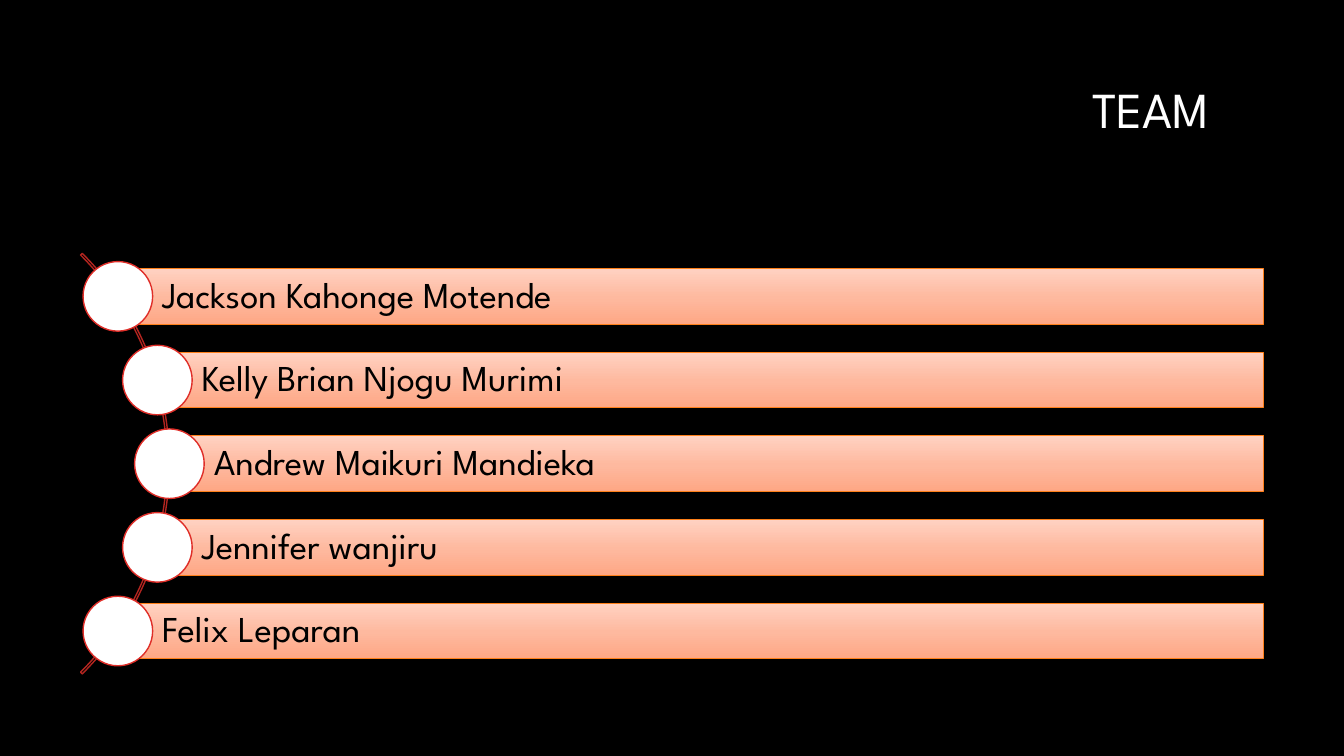
from copy import deepcopy
from math import sqrt

from pptx import Presentation
from pptx.dml.color import RGBColor as RGB
from pptx.enum.shapes import MSO_SHAPE as SHAPE
from pptx.enum.text import MSO_ANCHOR as ANCHOR, PP_ALIGN as ALIGN
from pptx.oxml.ns import qn
from pptx.util import Inches, Pt

THEME = {
    "font": "League Spartan",
    "title_size": 36,
    "name_size": 26,
    "back": "000000",
    "title": "FFFFFF",
    "name": "000000",
    "dot": "FFFFFF",
    "dot_line": "DF2E28",
    "arc_line": "B32520",
    "bar_line": "FE801A",
    "bar_stops": [(0, "FFD2C2"), (0.52, "FEB99F"), (1, "FEA785")],
}
NAMES = [
    "Jackson Kahonge Motende",
    "Kelly Brian Njogu Murimi",
    "Andrew Maikuri Mandieka",
    "Jennifer wanjiru",
    "Felix Leparan",
]
ARC_X, ARC_Y, ARC_R = -1.27, 4.6, 2.95
PITCH, BAR_H, DOT, RIGHT = 0.83, 0.55, 0.69, 12.53


def put_text(sp, text, size, color, align=ALIGN.LEFT, left=0.1, pad=0.07):
    tf = sp.text_frame
    tf.word_wrap = True
    tf.vertical_anchor = ANCHOR.MIDDLE
    tf.margin_left = Inches(left)
    tf.margin_right = tf.margin_top = tf.margin_bottom = Inches(pad)
    p = tf.paragraphs[0]
    p.alignment = align
    p.line_spacing = 0.9
    r = p.add_run()
    r.text = text
    r.font.name = THEME["font"]
    r.font.size = Pt(size)
    r.font.color.rgb = RGB.from_string(color)


def add_outlined(kind, x, y, w, h, line, width):
    sp = s.shapes.add_shape(kind, Inches(x), Inches(y), Inches(w), Inches(h))
    sp.shadow.inherit = False
    sp.line.color.rgb = RGB.from_string(line)
    sp.line.width = Pt(width)
    return sp


prs = Presentation()
prs.slide_width, prs.slide_height = Inches(13.33), Inches(7.5)
s = prs.slides.add_slide(prs.slide_layouts[5])
s.background.fill.solid()
s.background.fill.fore_color.rgb = RGB.from_string(THEME["back"])

title = s.shapes.title
title.left, title.top = Inches(1.59), Inches(0.42)
title.width, title.height = Inches(10.5), Inches(1.38)
put_text(title, "TEAM", THEME["title_size"], THEME["title"], align=ALIGN.RIGHT, pad=0.1)

arc = add_outlined(SHAPE.BLOCK_ARC, ARC_X - ARC_R, ARC_Y - ARC_R,
                   2 * ARC_R, 2 * ARC_R, THEME["arc_line"], 1)
arc.fill.background()
for i, value in enumerate((189, 27, 0.004)):
    arc.adjustments[i] = value

for i, name in enumerate(NAMES):
    dy = (i - len(NAMES) // 2) * PITCH
    x, y = ARC_X + sqrt(ARC_R ** 2 - dy ** 2), ARC_Y + dy

    bar = add_outlined(SHAPE.RECTANGLE, x, y - BAR_H / 2, RIGHT - x, BAR_H,
                       THEME["bar_line"], 0.75)
    bar.fill.gradient()
    bar.fill.gradient_angle = 270
    stops = bar._element.spPr.find(qn("a:gradFill")).find(qn("a:gsLst"))
    stops.append(deepcopy(stops[-1]))
    for stop, (position, color) in zip(bar.fill.gradient_stops, THEME["bar_stops"]):
        stop.position = position
        stop.color.rgb = RGB.from_string(color)
    put_text(bar, name, THEME["name_size"], THEME["name"], left=0.44)

    dot = add_outlined(SHAPE.OVAL, x - DOT / 2, y - DOT / 2, DOT, DOT,
                       THEME["dot_line"], 1)
    dot.fill.solid()
    dot.fill.fore_color.rgb = RGB.from_string(THEME["dot"])

prs.save("out.pptx")
